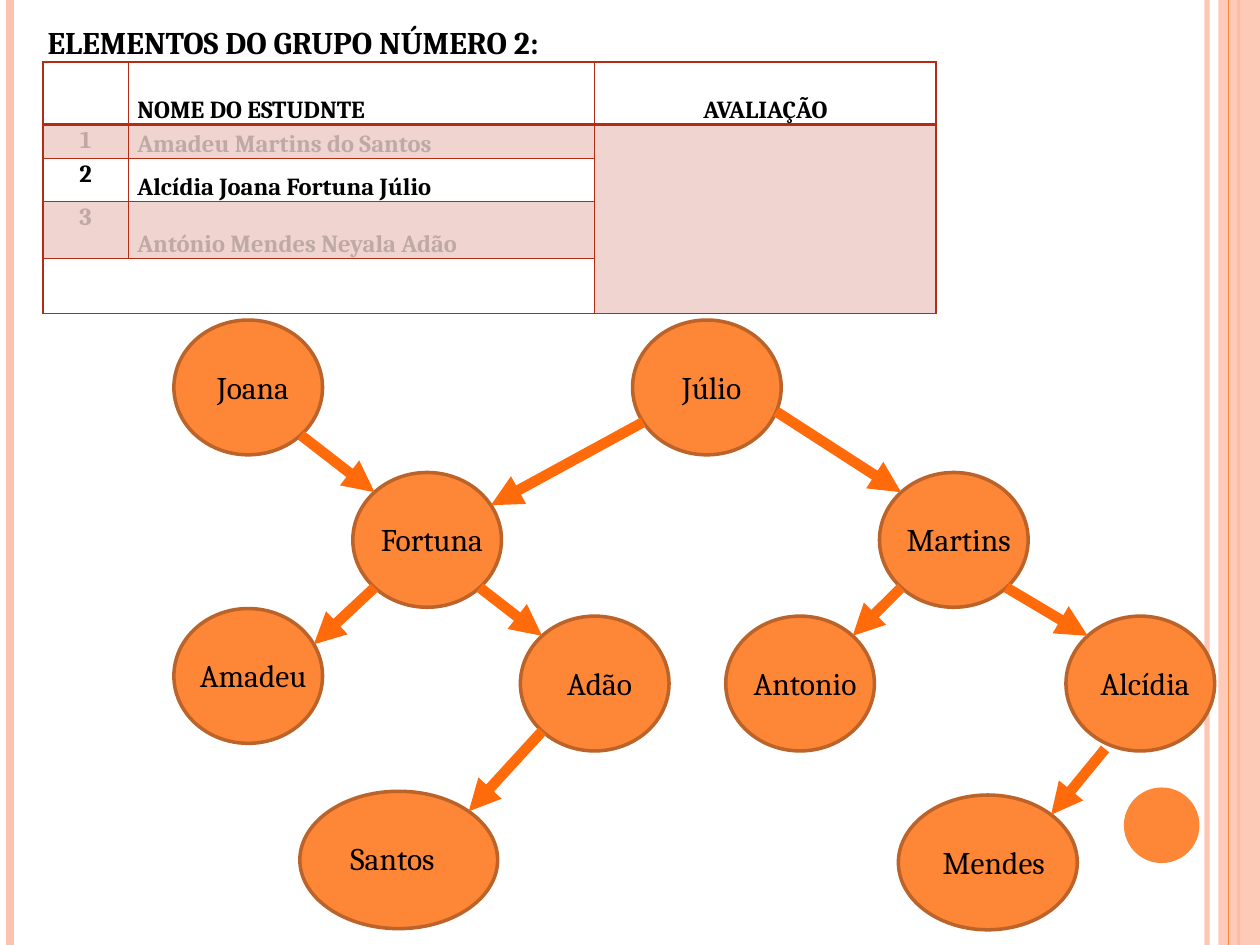
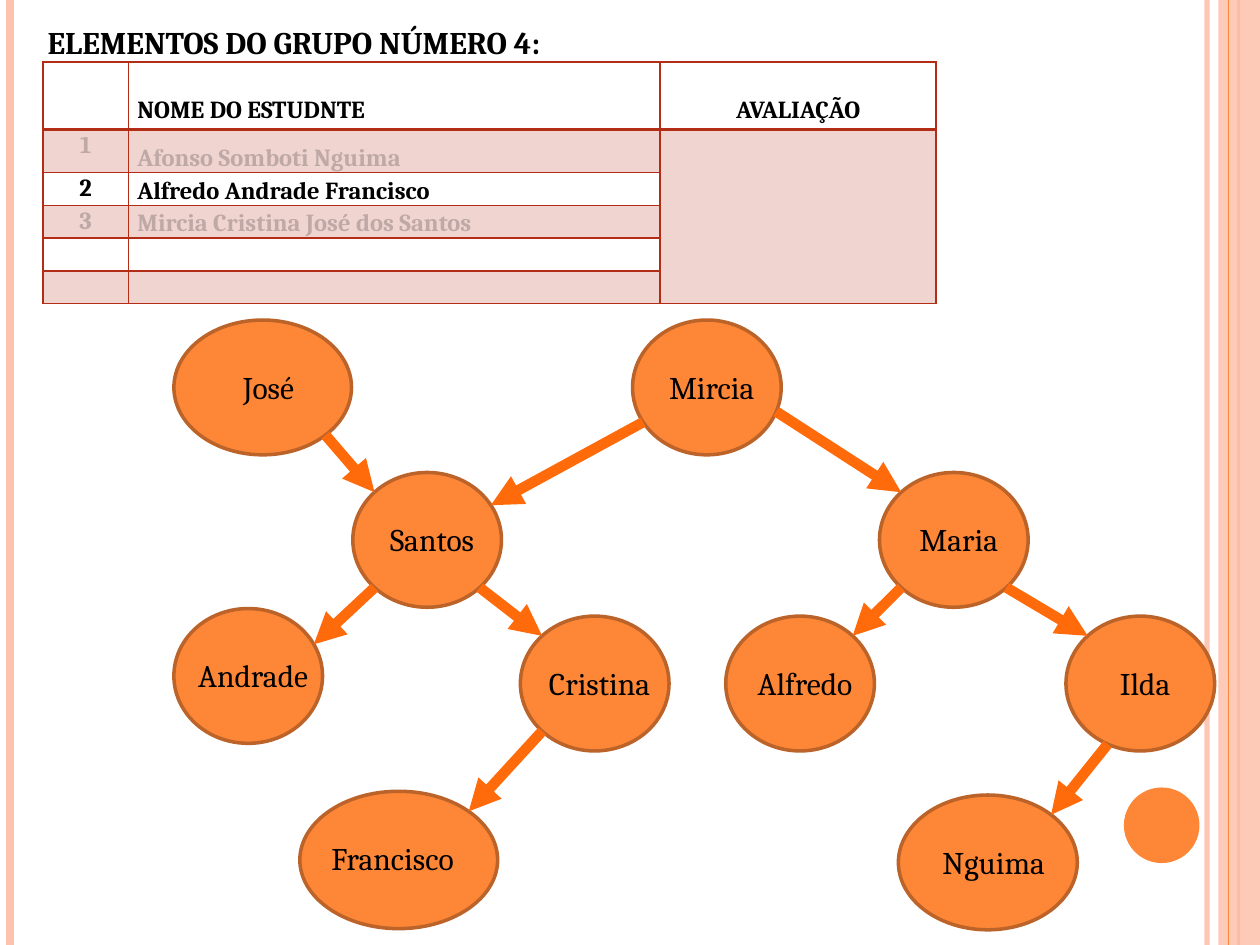
"""Build two slides that each show a student group's table and name tree."""
from dataclasses import dataclass
from math import cos, radians, sin

from lxml.etree import SubElement
from pptx import Presentation
from pptx.dml.color import RGBColor
from pptx.enum.shapes import MSO_CONNECTOR as Connector, MSO_SHAPE as Preset
from pptx.enum.text import MSO_ANCHOR as Anchor, PP_ALIGN as Align
from pptx.oxml import parse_xml
from pptx.oxml.ns import nsdecls, qn
from pptx.util import Inches, Pt

WHITE = RGBColor(0xFF, 0xFF, 0xFF)
BLACK = RGBColor(0x00, 0x00, 0x00)
PEACH = RGBColor(0xFE, 0xC3, 0xAE)
ORANGE = RGBColor(0xFE, 0x86, 0x37)
ARROW_ORANGE = RGBColor(0xFF, 0x6B, 0x0A)
RIM_BROWN = RGBColor(0xBC, 0x63, 0x29)
TABLE_RED = RGBColor(0xB3, 0x2C, 0x16)
FONT = "Cambria"

COLUMNS, ROWS = 100, 75
SLIDE_WIDTH, SLIDE_HEIGHT = Inches(10), Inches(7.5)
NODE_WIDTH, NODE_HEIGHT = 11.8, 10.7
LABEL_SHARE = 1.066
LABEL_DROP, LABEL_HEIGHT = 3.3, 4
HEADER_TEXT_ROWS = 5

BOTTOM_RIGHT, BOTTOM_LEFT, TOP_LEFT, TOP_RIGHT = 45, 135, 225, 315
ARROWS = [
    ("first root", BOTTOM_RIGHT, "left parent", TOP_LEFT),
    ("second root", 149, "left parent", 329),
    ("second root", 21, "right parent", TOP_LEFT),
    ("left parent", BOTTOM_LEFT, "first child", 332),
    ("left parent", BOTTOM_RIGHT, "second child", TOP_LEFT),
    ("right parent", BOTTOM_LEFT, "third child", TOP_RIGHT),
    ("right parent", BOTTOM_RIGHT, "fourth child", TOP_LEFT),
    ("second child", BOTTOM_LEFT, "left leaf", TOP_RIGHT),
    ("fourth child", 116, "right leaf", TOP_RIGHT),
]


@dataclass
class Node:
    """An ellipse of the tree, measured in grid units."""
    left: float
    top: float
    width: float = NODE_WIDTH
    height: float = NODE_HEIGHT
    label_left: float = None
    label_width: float = None

    def rim(self, angle, reach=1):
        """Return the point on the rim at a clockwise angle from the right."""
        turn = radians(angle)
        return (self.left + self.width / 2 * (1 + reach * cos(turn)),
                self.top + self.height / 2 * (1 + reach * sin(turn)))


NODES = {
    "first root": Node(13.8, 25.4),
    "second root": Node(50.2, 25.4),
    "left parent": Node(28, 37.5),
    "right parent": Node(69.8, 37.5),
    "first child": Node(13.8, 48.3),
    "second child": Node(41.3, 48.9),
    "third child": Node(57.6, 48.9),
    "fourth child": Node(84.6, 48.9),
    "left leaf": Node(23.8, 62.8, 15.7, 10.9, 21.7, 18.9),
    "right leaf": Node(71.3, 63.1, 14.2),
}


@dataclass
class Group:
    """The content of one slide."""
    number: int
    students: list
    columns: list
    rows: list
    names: list
    wide_last_row: bool = False
    root_width: float = NODE_WIDTH
    last_arrow_reach: float = 1


GROUPS = [
    Group(2, ["Amadeu Martins do Santos", "Alcídia Joana Fortuna Júlio",
              "António Mendes Neyala Adão"],
          [6.8, 37, 27.1], [5, 2.7, 3.4, 4.5, 4.4],
          ["Joana", "Júlio", "Fortuna", "Martins", "Amadeu", "Adão",
           "Antonio", "Alcídia", "Santos", "Mendes"],
          wide_last_row=True, last_arrow_reach=1.08),
    Group(4, ["Afonso Somboti Nguima", "Alfredo Andrade Francisco",
              "Mircia Cristina José dos Santos"],
          [6.8, 42.2, 21.9], [5.4, 3.4, 2.6, 2.6, 2.6, 2.6],
          ["José", "Mircia", "Santos", "Maria", "Andrade", "Cristina",
           "Alfredo", "Ilda", "Francisco", "Nguima"],
          root_width=14.1),
]


def across(columns):
    """Convert grid columns to a length."""
    return round(SLIDE_WIDTH * columns / COLUMNS)


def down(rows):
    """Convert grid rows to a length."""
    return round(SLIDE_HEIGHT * rows / ROWS)


def box(left, top, width, height):
    """Convert a grid rectangle to lengths."""
    return across(left), down(top), across(width), down(height)


def set_opacity(element, percent):
    """Make the colours inside an element partly transparent."""
    for color in element.iter(qn("a:srgbClr")):
        SubElement(color, qn("a:alpha"), val=str(percent * 1000))


def write(paragraph, text, size, align, bold=False):
    """Put text and its font on a paragraph."""
    paragraph.text = text
    paragraph.alignment = align
    font = paragraph.font
    font.name, font.size, font.bold = FONT, Pt(size), bold
    font.color.rgb = BLACK


def add_text(shapes, area, text, align, bold=False):
    """Add a one-line text box."""
    frame = shapes.add_textbox(*box(*area)).text_frame
    frame.word_wrap = True
    write(frame.paragraphs[0], text, 18, align, bold)


def add_preset(shapes, preset, area, fill, rim=None):
    """Add a filled preset shape with an optional rim."""
    shape = shapes.add_shape(preset, *box(*area))
    shape.shadow.inherit = False
    shape.fill.solid()
    shape.fill.fore_color.rgb = fill
    if rim is None:
        shape.line.fill.background()
    else:
        shape.line.color.rgb = rim
        shape.line.width = Pt(2)
    return shape


def add_line(shapes, start, end, color, width):
    """Add a straight line between two grid points."""
    line = shapes.add_connector(
        Connector.STRAIGHT, across(start[0]), down(start[1]),
        across(end[0]), down(end[1]))
    line.line.color.rgb = color
    line.line.width = Pt(width)
    SubElement(line.element.spPr, qn("a:effectLst"))
    return line


def add_arrow(shapes, start, end):
    """Add a thick arrow between two grid points."""
    arrow = add_line(shapes, start, end, ARROW_ORANGE, 6)
    SubElement(arrow.line._get_or_add_ln(), qn("a:tailEnd"), type="triangle")


def add_rail(shapes, column, color, width):
    """Add a vertical line over the full height of the slide."""
    return add_line(shapes, (column, 0), (column, ROWS), color, width)


def add_frame(slide):
    """Draw the background, side bands and corner dot."""
    slide.background.fill.solid()
    slide.background.fill.fore_color.rgb = WHITE
    shapes = slide.shapes
    set_opacity(add_rail(shapes, 95.8, PEACH, 3).element, 93)
    add_rail(shapes, 0.8, PEACH, 4.5)
    add_rail(shapes, 98.3, ORANGE, 1.5)
    band = add_preset(shapes, Preset.RECTANGLE, (96.7, 0, 3.3, ROWS), PEACH)
    set_opacity(band.element, 87)
    add_rail(shapes, 97.5, ORANGE, 0.75)
    add_preset(shapes, Preset.OVAL, (89.2, 62.5, 6, 6), ORANGE)


def set_borders(cell, top, bottom):
    """Outline a cell, with its own widths at top and bottom."""
    properties = cell._tc.get_or_add_tcPr()
    widths = {"lnL": 1, "lnR": 1, "lnT": top, "lnB": bottom}
    for index, (side, width) in enumerate(widths.items()):
        properties.insert(index, parse_xml(
            f'<a:{side} {nsdecls("a")} w="{Pt(width)}"><a:solidFill>'
            f'<a:srgbClr val="{TABLE_RED}"/></a:solidFill></a:{side}>'))


def style_cell(cell, row, column, text, header_gap):
    """Write and format one table cell."""
    centered = column == 2 or (column == 0 and row > 0)
    cell.margin_left = cell.margin_right = across(0.7)
    cell.margin_top = 0
    cell.margin_bottom = header_gap if row == 0 else 0
    cell.vertical_anchor = Anchor.BOTTOM if row == 0 or column == 1 else Anchor.TOP
    paragraph = cell.text_frame.paragraphs[0]
    write(paragraph, text, 14, Align.CENTER if centered else Align.LEFT, True)
    paragraph.line_spacing = 1.07
    if not text:
        SubElement(paragraph._p, qn("a:endParaRPr"), sz="1400")
    if row % 2 or (row and column == 2):
        cell.fill.solid()
        cell.fill.fore_color.rgb = TABLE_RED
        set_opacity(cell._tc, 20)
    else:
        cell.fill.background()
    set_borders(cell, 2 if row == 1 else 1, 2 if row == 0 else 1)


def add_student_table(shapes, group):
    """Add the table of students and their evaluation."""
    last_row = len(group.rows) - 1
    table = shapes.add_table(
        len(group.rows), len(group.columns),
        *box(3.4, 4.9, sum(group.columns), sum(group.rows))).table
    table.first_row = table.horz_banding = False
    for column, width in zip(table.columns, group.columns):
        column.width = across(width)
    for row, height in zip(table.rows, group.rows):
        row.height = down(height)
    texts = [["", "NOME DO ESTUDNTE", "AVALIAÇÃO"]]
    texts += [[str(number), student, ""]
              for number, student in enumerate(group.students, 1)]
    texts += [["", "", ""]] * (len(group.rows) - len(texts))
    header_gap = down(group.rows[0] - HEADER_TEXT_ROWS)
    for row, row_texts in enumerate(texts):
        for column, text in enumerate(row_texts):
            style_cell(table.cell(row, column), row, column, text, header_gap)
    table.cell(1, 2).merge(table.cell(last_row, 2))
    if group.wide_last_row:
        table.cell(last_row, 0).merge(table.cell(last_row, 1))


def add_node(shapes, node, name):
    """Add an ellipse grouped with its label."""
    members = shapes.add_group_shape().shapes
    add_preset(members, Preset.OVAL,
               (node.left, node.top, node.width, node.height), ORANGE, RIM_BROWN)
    label = (node.label_left or node.left, node.top + LABEL_DROP,
             node.label_width or node.width * LABEL_SHARE, LABEL_HEIGHT)
    add_text(members, label, name, Align.CENTER)


def add_name_tree(shapes, group):
    """Add the named nodes and the arrows between them."""
    root = NODES["first root"]
    nodes = {**NODES, "first root": Node(root.left, root.top, group.root_width)}
    for node, name in zip(nodes.values(), group.names):
        add_node(shapes, node, name)
    for source, leave, target, arrive in ARROWS:
        reach = group.last_arrow_reach if target == "right leaf" else 1
        add_arrow(shapes, nodes[source].rim(leave, reach),
                  nodes[target].rim(arrive))


def main():
    """Build and save the presentation."""
    presentation = Presentation()
    presentation.slide_width = SLIDE_WIDTH
    presentation.slide_height = SLIDE_HEIGHT
    for group in GROUPS:
        slide = presentation.slides.add_slide(presentation.slide_layouts[6])
        add_frame(slide)
        add_text(slide.shapes, (2.8, 1.3, 81.9, 4),
                 f"ELEMENTOS DO GRUPO NÚMERO {group.number}:", Align.JUSTIFY, True)
        add_student_table(slide.shapes, group)
        add_name_tree(slide.shapes, group)
    presentation.save("out.pptx")


main()
